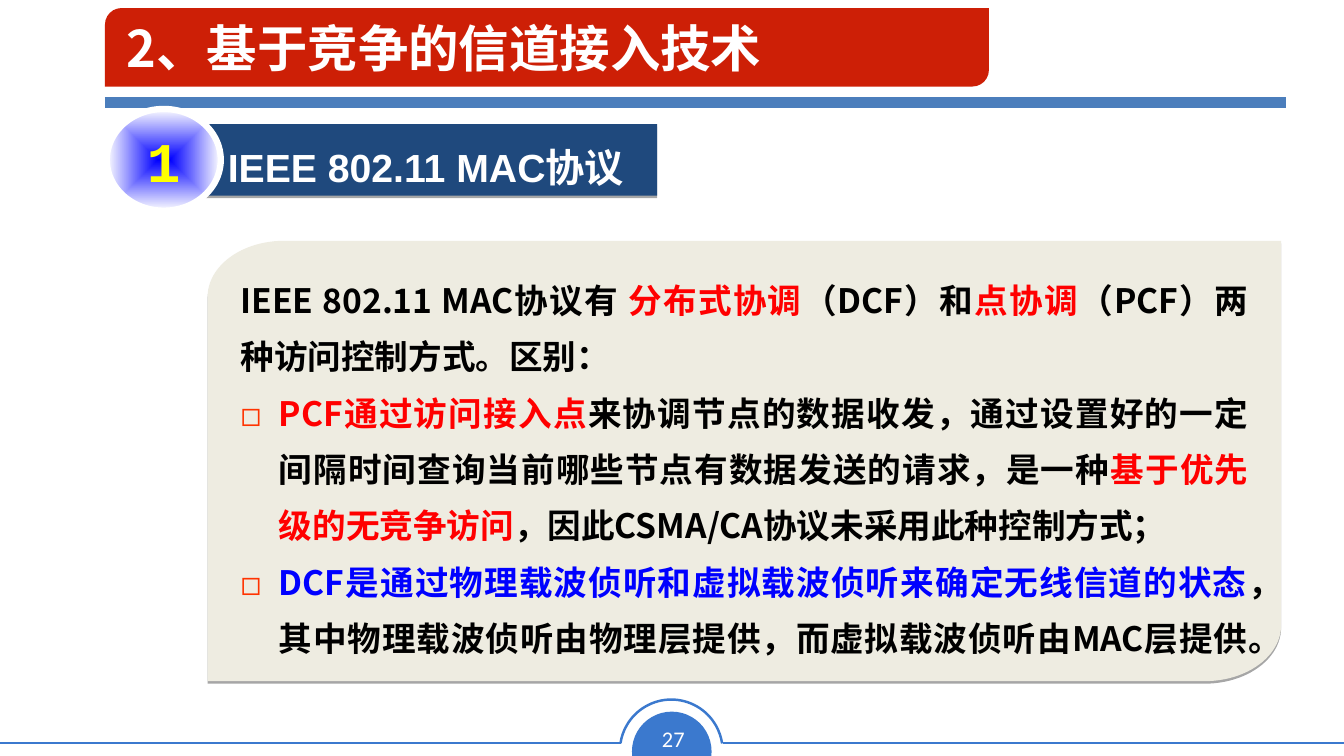
import math

from lxml import etree
from pptx import Presentation
from pptx.dml.color import RGBColor
from pptx.enum import shapes, text
from pptx.oxml import parse_xml
from pptx.oxml.ns import nsdecls, qn
from pptx.util import Pt

CJK = "Noto Sans CJK SC"
BLACK, RED, BLUE, WHITE = "000000", "FF0000", "0000FF", "FFFFFF"
ACCENT = "3B79CE"

TITLE = "2、基于竞争的信道接入技术"
SECTION_NUMBER = "1"
SECTION = "IEEE 802.11 MAC协议 "
PAGE = "27"
INTRO = [
    ("IEEE 802.11 MAC协议有 ", BLACK),
    ("分布式协调", RED),
    ("（DCF）和", BLACK),
    ("点协调", RED),
    ("（PCF）两种访问控制方式。区别：", BLACK),
]
POINTS = [
    [
        ("PCF通过访问接入点", RED),
        ("来协调节点的数据收发，通过设置好的一定间隔时间查询当前哪些节点有数据发送的请求，是一种", BLACK),
        ("基于优先级的无竞争访问", RED),
        ("，因此CSMA/CA协议未采用此种控制方式；", BLACK),
    ],
    [
        ("DCF是通过物理载波侦听和虚拟载波侦听来确定无线信道的状态", BLUE),
        ("，其中物理载波侦听由物理层提供，而虚拟载波侦听由MAC层提供。", BLACK),
    ],
]

# Left, top, width, height in points
TITLE_BAR = (75, 5.8, 631.4, 56)
TITLE_TEXT = (83.5, 7.2, 833, 53.3)
SECTION_BAR = (145.4, 88.6, 324, 51.1)
BADGE = (76.3, 77.8, 81.4, 72.7)
PANEL = (148.3, 172, 766.8, 314.6)
PANEL_CORNER = (54.7, 40)
PAGE_DISC = (451.4, 508.3, 56.9, 56.9)
PAGE_RING = (442.8, 499.7, 73.4, 73.4)
PAGE_TEXT = (464.4, 514.1, 33.1, 26.6)
# x1, x2, y, colour, width
RULES = [
    (75, 918.7, 73.4, "4B7EBC", 8),
    (0, 443.5, 530.6, ACCENT, 1.77),
    (516.2, 960, 530.6, ACCENT, 1.77),
]

SHADOW = (
    f'<a:effectLst {nsdecls("a")}><a:outerShdw blurRad="0" dist="22860" dir="5400000" '
    'algn="ctr" rotWithShape="0"><a:srgbClr val="000000"><a:alpha val="35000"/></a:srgbClr>'
    "</a:outerShdw></a:effectLst>"
)
BADGE_GRADIENT = (
    f'<a:gradFill {nsdecls("a")} rotWithShape="1"><a:gsLst>'
    f'<a:gs pos="0"><a:srgbClr val="{BLUE}"/></a:gs>'
    f'<a:gs pos="100000"><a:srgbClr val="{WHITE}"/></a:gs></a:gsLst>'
    '<a:path path="shape"><a:fillToRect l="50000" t="50000" r="50000" b="50000"/></a:path>'
    "</a:gradFill>"
)


def hex_color(value):
    return RGBColor.from_string(value)


def set_all(target, values):
    for name, value in values.items():
        setattr(target, name, value)


def paint(shape, fill=None, line=None, width=1):
    shape.shadow.inherit = False
    if fill:
        shape.fill.solid()
        shape.fill.fore_color.rgb = hex_color(fill)
    else:
        shape.fill.background()
    if line:
        shape.line.color.rgb = hex_color(line)
        shape.line.width = Pt(width)
    else:
        shape.line.fill.background()


def cast_shadow(shape):
    properties = shape._element.spPr
    properties.replace(properties.find(qn("a:effectLst")), parse_xml(SHADOW))


def add_preset(kind, box, adjustments=(), **colors):
    shape = slide.shapes.add_shape(kind, *map(Pt, box))
    for i, value in enumerate(adjustments):
        shape.adjustments[i] = value
    paint(shape, **colors)
    return shape


def write(paragraph, runs, size, font=CJK, bold=True, **layout):
    set_all(paragraph, layout)
    for words, color in runs:
        run = paragraph.add_run()
        run.text = words
        set_all(run.font, {"name": font, "size": Pt(size), "bold": bold})
        run.font.color.rgb = hex_color(color)
        east_asian = etree.SubElement(run._r.get_or_add_rPr(), qn("a:ea"))
        east_asian.set("typeface", CJK)


def add_bullet(paragraph, indent=27.4):
    properties = paragraph._p.get_or_add_pPr()
    properties.set("marL", str(Pt(indent)))
    properties.set("indent", str(-Pt(indent)))
    color = etree.SubElement(properties, qn("a:buClr"))
    etree.SubElement(color, qn("a:srgbClr")).set("val", "FF3300")
    etree.SubElement(properties, qn("a:buFont")).set("typeface", CJK)
    etree.SubElement(properties, qn("a:buChar")).set("char", "◻")


def add_rule(x1, x2, y, color, width):
    rule = slide.shapes.add_connector(shapes.MSO_CONNECTOR.STRAIGHT, Pt(x1), Pt(y), Pt(x2), Pt(y))
    rule.line.color.rgb = hex_color(color)
    rule.line.width = Pt(width)
    etree.SubElement(rule._element.spPr, qn("a:effectLst"))


def panel_outline(steps=24):
    """Points of a box with its top left and bottom right corners rounded."""
    left, top, width, height = PANEL
    right, bottom = left + width, top + height
    rx, ry = PANEL_CORNER
    turns = [math.pi / 2 * i / steps for i in range(steps + 1)]
    lower = [(right - rx + rx * math.cos(t), bottom - ry + ry * math.sin(t)) for t in turns]
    upper = [(left + rx - rx * math.cos(t), top + ry - ry * math.sin(t)) for t in turns]
    return [(right, top), *lower, (left, bottom), *upper]


prs = Presentation()
prs.slide_width, prs.slide_height = Pt(960), Pt(540)
slide = prs.slides.add_slide(prs.slide_layouts[6])
KIND = shapes.MSO_SHAPE
CENTER, JUSTIFY = text.PP_ALIGN.CENTER, text.PP_ALIGN.JUSTIFY
MIDDLE = text.MSO_ANCHOR.MIDDLE

page_disc = add_preset(KIND.CHORD, PAGE_DISC, (35.77, 153.29), fill=ACCENT)
page_disc.rotation = 112.4
add_preset(KIND.ARC, PAGE_RING, (113.17, 210.98), line=ACCENT, width=1.77)
for rule in RULES:
    add_rule(*rule)
page = slide.shapes.add_textbox(*map(Pt, PAGE_TEXT)).text_frame
page.word_wrap = False
write(page.paragraphs[0], [(PAGE, WHITE)], 16, "Calibri", False, alignment=CENTER)

add_preset(KIND.ROUND_2_DIAG_RECTANGLE, TITLE_BAR, (0.21, 0), fill="CD1F06")
title = slide.shapes.add_textbox(*map(Pt, TITLE_TEXT)).text_frame
set_all(title, {"word_wrap": True, "vertical_anchor": MIDDLE})
write(title.paragraphs[0], [(TITLE, WHITE)], 36)

start, *outline = [(Pt(x), Pt(y)) for x, y in panel_outline()]
builder = slide.shapes.build_freeform(*start)
builder.add_line_segments(outline, close=True)
panel = builder.convert_to_shape()
paint(panel, fill="EEECE1")
cast_shadow(panel)
body = panel.text_frame
set_all(body, {"word_wrap": True, "vertical_anchor": MIDDLE,
               "margin_left": Pt(23.5), "margin_right": Pt(23.5)})
write(body.paragraphs[0], INTRO, 24, alignment=JUSTIFY, line_spacing=1.4)
for point in POINTS:
    paragraph = body.add_paragraph()
    paragraph.line_spacing = 1.4
    add_bullet(paragraph)
    write(paragraph, point, 24, alignment=JUSTIFY)

section_bar = add_preset(KIND.RECTANGLE, SECTION_BAR, fill="1F497D")
cast_shadow(section_bar)
section = section_bar.text_frame
set_all(section, {"word_wrap": True, "vertical_anchor": text.MSO_ANCHOR.TOP})
write(section.paragraphs[0], [(SECTION, WHITE)], 28, "Arial", alignment=CENTER, line_spacing=1.3)

badge = add_preset(KIND.OVAL, BADGE, fill=BLUE, line=WHITE, width=4.5)
badge_properties = badge._element.spPr
badge_properties.replace(badge_properties.find(qn("a:solidFill")), parse_xml(BADGE_GRADIENT))
set_all(badge.text_frame, {"word_wrap": False, "vertical_anchor": MIDDLE})
write(badge.text_frame.paragraphs[0], [(SECTION_NUMBER, "FFFF00")], 40, "Courier New", alignment=CENTER)

prs.save("out.pptx")
